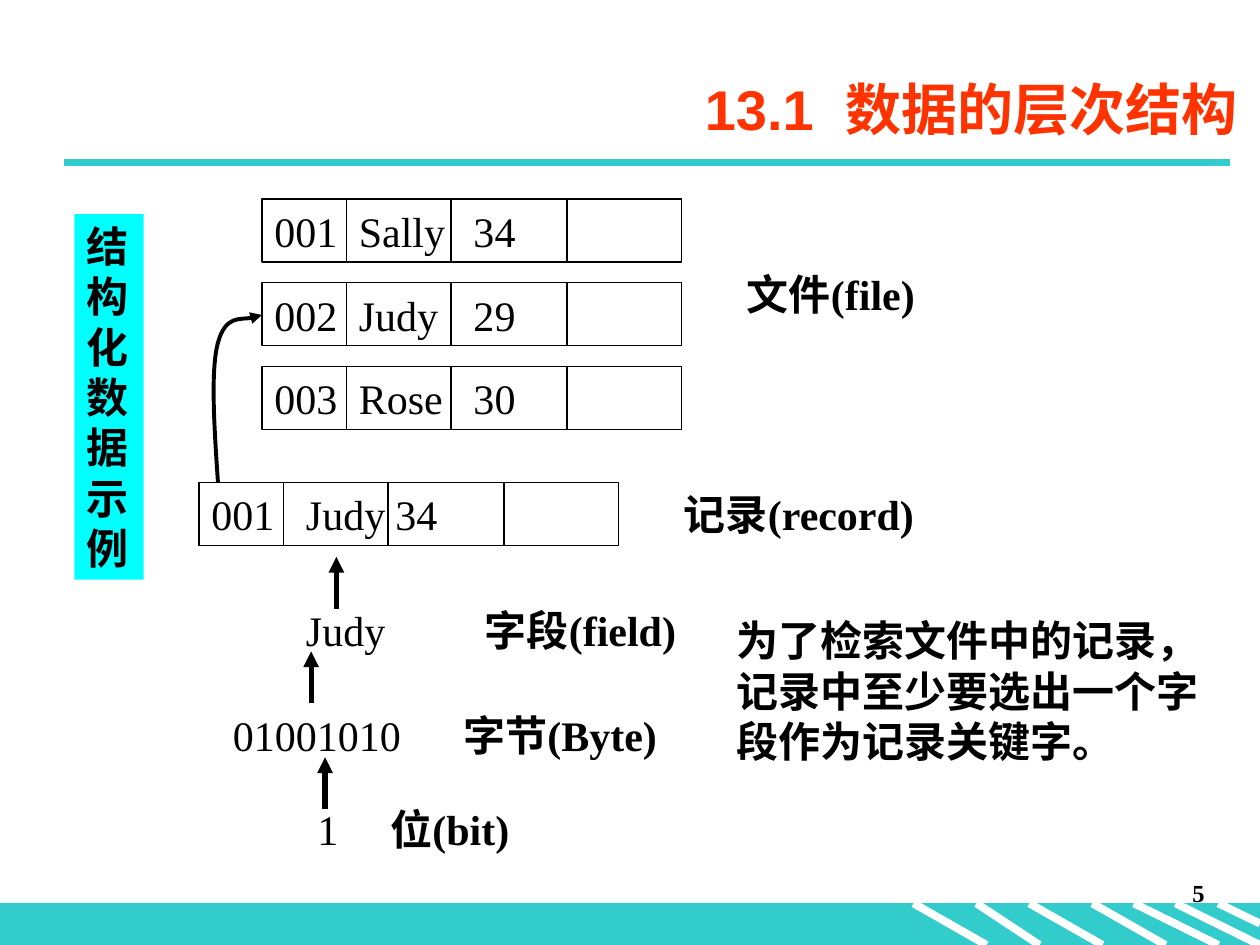
from lxml import etree
from pptx import Presentation
from pptx.dml.color import RGBColor
from pptx.enum.shapes import MSO_CONNECTOR as CONN, MSO_SHAPE as SHAPE
from pptx.enum.text import MSO_ANCHOR as ANCHOR, PP_ALIGN as ALIGN
from pptx.oxml.ns import qn
from pptx.util import Inches, Pt

COLORS = {
    "teal": "33CCCC",
    "white": "FFFFFF",
    "black": "000000",
    "title": "FF3300",
    "cyan": "00FFFF",
}
SERIF = "Times New Roman"
ROW_W, ROW_H = 3.33, 0.5
DIVIDERS = (0.67, 1.5, 2.42)


def rgb(name):
    return RGBColor.from_string(COLORS[name])


class SlideBuilder:
    """Holds the text style and the slide being drawn."""

    def __init__(self, slide, font=SERIF, size=24):
        self.slide, self.font, self.size = slide, font, size

    def style(self, p, bold=False, size=None, font=None, color="black", align=ALIGN.LEFT):
        p.alignment = align
        p.font.name = font or self.font
        p.font.size = Pt(size or self.size)
        p.font.bold = bold
        p.font.color.rgb = rgb(color)

    def text(self, x, y, w, h, words, anchor=ANCHOR.TOP, **style):
        sp = self.slide.shapes.add_textbox(Inches(x), Inches(y), Inches(w), Inches(h))
        tf = sp.text_frame
        tf.word_wrap = True
        tf.vertical_anchor = anchor
        p = tf.paragraphs[0]
        p.text = words
        self.style(p, **style)
        return p

    def rect(self, x, y, w, h, words="", fill=None, line=None, **style):
        sp = self.slide.shapes.add_shape(
            SHAPE.RECTANGLE, Inches(x), Inches(y), Inches(w), Inches(h))
        sp.shadow.inherit = False
        if fill:
            sp.fill.solid()
            sp.fill.fore_color.rgb = rgb(fill)
        else:
            sp.fill.background()
        if line:
            sp.line.color.rgb = rgb(line)
            sp.line.width = Pt(0.75)
        else:
            sp.line.fill.background()
        tf = sp.text_frame
        tf.word_wrap = True
        tf.vertical_anchor = ANCHOR.TOP
        p = tf.paragraphs[0]
        p.text = words
        self.style(p, **style)
        return p

    def line(self, x1, y1, x2, y2, width=0.75, color="black", arrow=False):
        cn = self.slide.shapes.add_connector(
            CONN.STRAIGHT, Inches(x1), Inches(y1), Inches(x2), Inches(y2))
        cn.line.color.rgb = rgb(color)
        cn.line.width = Pt(width)
        if arrow:
            self.arrowhead(cn)
        etree.SubElement(cn._element.spPr, qn("a:effectLst"))

    def arrowhead(self, sp):
        etree.SubElement(sp.line._get_or_add_ln(), qn("a:tailEnd"), type="triangle")

    def tabs(self, p, stops):
        """Add left tab stops, in inches from the text edge."""
        tab_list = etree.SubElement(p._p.get_or_add_pPr(), qn("a:tabLst"))
        tab_list.getparent().insert(0, tab_list)
        for stop in stops:
            etree.SubElement(tab_list, qn("a:tab"), pos=str(Inches(stop)), algn="l")

    def record(self, x, y, values, stops):
        """Draw one row of four fields, the last one empty."""
        p = self.rect(x, y, ROW_W, ROW_H, "\t".join(values), line="black")
        self.tabs(p, stops)
        for dx in DIVIDERS:
            self.line(x + dx, y, x + dx, y + ROW_H)

    def curve(self, start, points, width):
        """Draw an arrow of cubic curves; every three points make one curve."""
        fb = self.slide.shapes.build_freeform(Inches(start[0]), Inches(start[1]))
        fb.add_line_segments([(Inches(x), Inches(y)) for x, y in points], close=False)
        sp = fb.convert_to_shape()
        sp.shadow.inherit = False
        sp.fill.background()
        sp.line.color.rgb = rgb("black")
        sp.line.width = Pt(width)
        self.arrowhead(sp)
        path = next(sp._element.iter(qn("a:path")))
        segments = path.findall(qn("a:lnTo"))
        for i in range(0, len(segments), 3):
            bezier = etree.SubElement(path, qn("a:cubicBezTo"))
            for segment in segments[i:i + 3]:
                bezier.append(segment[0])
                path.remove(segment)


def main():
    prs = Presentation()
    prs.slide_width, prs.slide_height = Inches(10), Inches(7.5)
    s = SlideBuilder(prs.slides.add_slide(prs.slide_layouts[6]))

    # Footer band with stripes, and the rule under the title
    s.rect(0, 7.17, 10, 0.33, fill="teal", line="teal")
    for x1, x2 in ((7.25, 7.83), (7.75, 8.25), (8.17, 8.75),
                   (8.67, 9.25), (9, 9.67), (9.33, 10)):
        s.line(x1, 7.17, x2, 7.5, 4.5, "white")
    s.line(9.67, 7.17, 10, 7.33, 4.5, "white")
    s.line(0.51, 1.29, 9.76, 1.29, 4.5, "teal")
    s.text(7.58, 6.92, 2.08, 0.5, "5", bold=True, size=14, align=ALIGN.RIGHT)

    title = s.text(1.42, 0.25, 8.5, 1.21, "13.1", anchor=ANCHOR.MIDDLE, bold=True,
                   size=32, font="Arial", color="title", align=ALIGN.RIGHT)
    gap = title.add_run()
    gap.text = " "
    gap.font._element.set("spc", "890")
    title.add_run().text = "数据的层次结构"

    # File of three records, and the single record
    people = (("001", "Sally", "34"), ("002", "Judy", "29"), ("003", "Rose", "30"))
    for i, person in enumerate(people):
        s.record(2.08, 1.58 + i * 0.665, person, (0.67, 1.58))
    s.record(1.58, 3.83, ("001", "Judy", "34"), (0.75, 1.46))
    s.curve((1.73, 3.83), ((1.7, 3.39), (1.67, 2.94), (1.73, 2.72),
                           (1.79, 2.5), (2.03, 2.54), (2.08, 2.5)), 2.25)

    # Smaller units, each pointing up to the one it belongs to
    for x, y, w, value in ((2.33, 4.75, 1.17, "Judy"),
                           (1.75, 5.58, 1.67, "01001010"),
                           (2.42, 6.33, 0.5, "1")):
        s.text(x, y, w, 0.5, value)
    for x, bottom in ((2.67, 4.83), (2.47, 5.58), (2.58, 6.42)):
        s.line(x, bottom, x, bottom - 0.41, 3, arrow=True)

    for x, y, w, label in ((5.83, 2.08, 1.77, "文件(file)"),
                           (5.33, 3.83, 2.2, "记录(record)"),
                           (3.75, 4.75, 1.96, "字段(field)"),
                           (3.58, 5.58, 2.05, "字节(Byte)"),
                           (3, 6.33, 1.69, "位(bit)")):
        s.text(x, y, w, 0.5, label, bold=True)

    s.text(5.75, 4.83, 3.92, 1.3,
           "为了检索文件中的记录，记录中至少要选出一个字段作为记录关键字。", bold=True)
    s.rect(0.59, 1.7, 0.55, 2.9, "结构化数据示例", fill="cyan", bold=True)
    prs.save("out.pptx")


if __name__ == "__main__":
    main()
